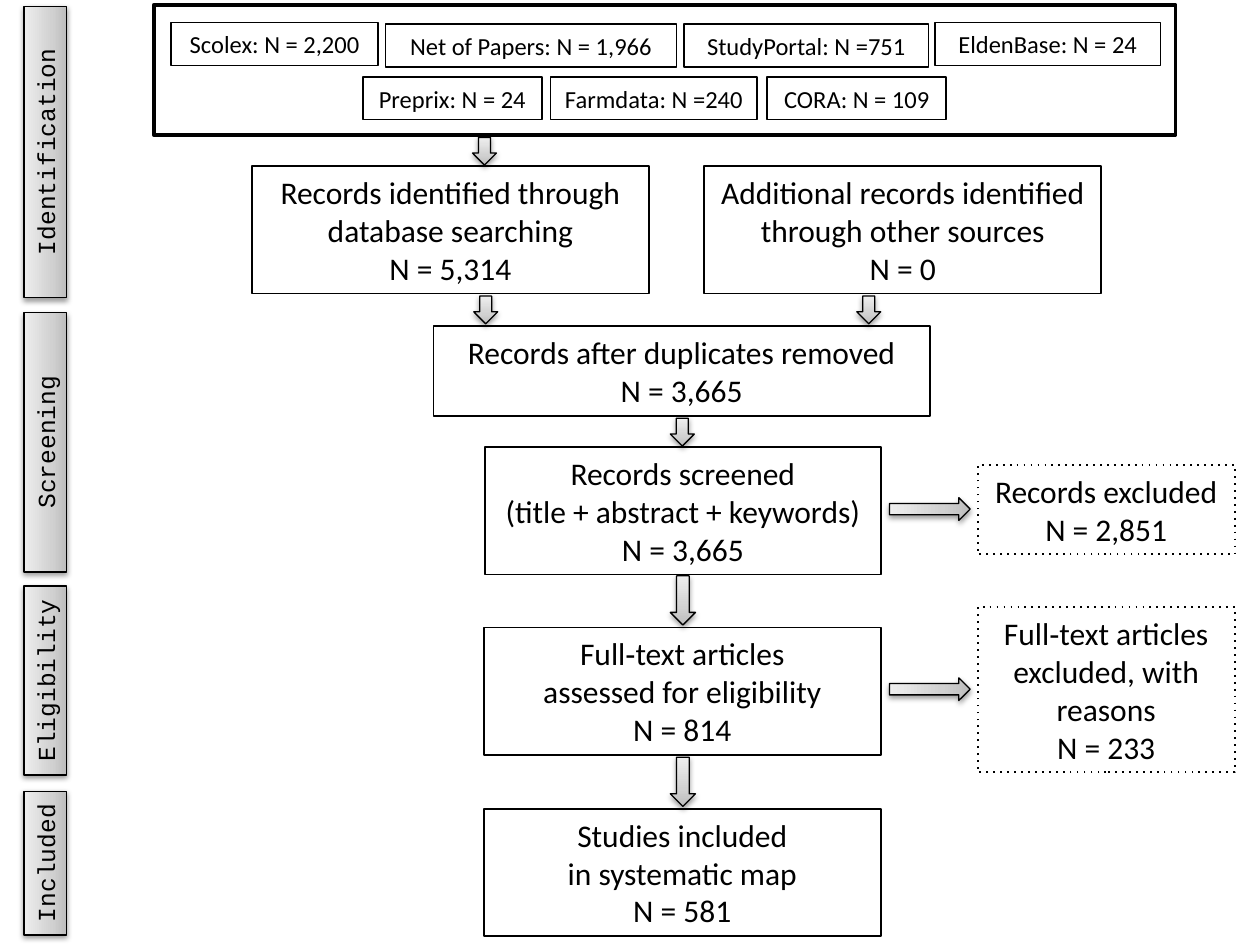
"""Build a flow diagram of how records were selected for a systematic map."""
from lxml import etree
from pptx import Presentation
from pptx.dml.color import RGBColor
from pptx.enum.dml import MSO_LINE
from pptx.enum.shapes import MSO_SHAPE
from pptx.enum.text import MSO_ANCHOR, MSO_AUTO_SIZE, PP_ALIGN
from pptx.util import Inches, Pt

BLACK = RGBColor(0x00, 0x00, 0x00)
RECTANGLE = MSO_SHAPE.RECTANGLE
DOWN_ARROW = MSO_SHAPE.DOWN_ARROW
DOTTED = MSO_LINE.ROUND_DOT
CENTER = PP_ALIGN.CENTER
MIDDLE = MSO_ANCHOR.MIDDLE
GROW = MSO_AUTO_SIZE.SHAPE_TO_FIT_TEXT

DRAWING_NS = "http://schemas.openxmlformats.org/drawingml/2006/main"
GRADIENT = f"""<a:gradFill xmlns:a="{DRAWING_NS}" rotWithShape="1"><a:gsLst>
<a:gs pos="0"><a:srgbClr val="BDBDBD"/></a:gs>
<a:gs pos="35000"><a:srgbClr val="D1D1D1"/></a:gs>
<a:gs pos="100000"><a:srgbClr val="EEEEEE"/></a:gs>
</a:gsLst><a:lin ang="16200000" scaled="1"/></a:gradFill>"""
SHADOW = f"""<a:outerShdw xmlns:a="{DRAWING_NS}" blurRad="40000" dist="20000"
dir="5400000" rotWithShape="0"><a:srgbClr val="000000"><a:alpha val="38000"/>
</a:srgbClr></a:outerShdw>"""

SOURCES = [
    ("Scolex: N = 2,200", 1.36, 0.18, 1.64),
    ("Net of Papers: N = 1,966", 3.06, 0.19, 2.31),
    ("StudyPortal: N =751", 5.43, 0.19, 1.94),
    ("EldenBase: N = 24", 7.42, 0.18, 1.79),
    ("Preprix: N = 24", 2.88, 0.61, 1.42),
    ("Farmdata: N =240", 4.37, 0.61, 1.64),
    ("CORA: N = 109", 6.09, 0.61, 1.42),
]
STEPS = [
    ("Records identified through database searching\nN = 5,314", 2, 1.32, 3.15, 1.01),
    ("Additional records identified through other sources\nN = 0", 5.59, 1.32, 3.15, 1.01),
    ("Records after duplicates removed\nN = 3,665", 3.44, 2.59, 3.94, 0.71),
    ("Records screened\n(title + abstract + keywords)\nN = 3,665", 3.85, 3.55, 3.14, 1.01),
    ("Full\u2010text articles\nassessed for eligibility\nN = 814", 3.84, 4.98, 3.15, 1.01),
    ("Studies included\nin systematic map\nN = 581", 3.84, 6.42, 3.15, 1.01),
]
EXCLUSIONS = [
    ("Records excluded\nN = 2,851", 7.76, 3.69, 2.04, 0.71),
    ("Full\u2010text articles\nexcluded, with reasons\nN = 233", 7.76, 4.82, 2.04, 1.31),
]
STAGES = [
    ("Identification", 0.05, 2.31),
    ("Screening", 2.48, 2.06),
    ("Eligibility", 4.65, 1.5),
    ("Included", 6.28, 1.14),
]
DOWN_STEPS = [
    (3.75, 1.09, 0.19, 0.22),
    (3.76, 2.35, 0.19, 0.22),
    (6.8, 2.35, 0.19, 0.22),
    (5.32, 3.32, 0.19, 0.22),
    (5.32, 4.57, 0.2, 0.39),
    (5.32, 6.01, 0.2, 0.39),
]
EXCLUSION_ARROW_TOPS = [3.72, 5.15]


def add_outline(slide, kind, left, top, width, height, weight):
    """Add an unfilled shape with a black outline."""
    outline = slide.shapes.add_shape(
        kind, Inches(left), Inches(top), Inches(width), Inches(height))
    outline.shadow.inherit = False
    outline.fill.background()
    outline.line.color.rgb = BLACK
    outline.line.width = Pt(weight)
    return outline


def add_shaded(slide, kind, left, top, width, height, rotation=0):
    """Add a grey gradient shape with a soft shadow."""
    shaded = add_outline(slide, kind, left, top, width, height, 0.75)
    shaded.rotation = rotation
    properties = shaded.fill._xPr
    no_fill = properties.find(f"{{{DRAWING_NS}}}noFill")
    properties.replace(no_fill, etree.fromstring(GRADIENT))
    effects = properties.find(f"{{{DRAWING_NS}}}effectLst")
    effects.append(etree.fromstring(SHADOW))
    return shaded


def write(box, text, size, font="Calibri", wrap=True):
    """Write centred black lines into a box."""
    frame = box.text_frame
    frame.text = text
    frame.word_wrap = wrap
    frame.auto_size = GROW
    frame.vertical_anchor = MIDDLE
    for line in frame.paragraphs:
        line.alignment = CENTER
        line.font.size = Pt(size)
        line.font.name = font
        line.font.color.rgb = BLACK


def add_box(slide, text, left, top, width, height, size=18, wrap=True):
    """Add an outlined box with text."""
    box = add_outline(slide, RECTANGLE, left, top, width, height, 1)
    write(box, text, size, wrap=wrap)
    return box


def add_exclusion(slide, *exclusion):
    """Add a box with a widely dotted outline."""
    box = add_box(slide, *exclusion)
    box.line.dash_style = DOTTED
    box.fill._xPr.find(f".//{{{DRAWING_NS}}}prstDash").set("val", "dot")


def add_stage(slide, name, top, length):
    """Add a stage label that reads upwards along the left edge."""
    left, thickness = 0.19, 0.34
    shift = (length - thickness) / 2
    stage = add_shaded(
        slide, RECTANGLE, left - shift, top + shift, length, thickness, 270)
    write(stage, name, 14, "Courier New", wrap=False)


def main():
    """Build and save the slide."""
    deck = Presentation()
    deck.slide_width, deck.slide_height = Inches(10), Inches(7.5)
    slide = deck.slides.add_slide(deck.slide_layouts[6])

    for step in STEPS:
        add_box(slide, *step)
    for exclusion in EXCLUSIONS:
        add_exclusion(slide, *exclusion)
    for stage in STAGES:
        add_stage(slide, *stage)
    for arrow in DOWN_STEPS:
        add_shaded(slide, DOWN_ARROW, *arrow)
    for top in EXCLUSION_ARROW_TOPS:
        add_shaded(slide, DOWN_ARROW, 7.29, top, 0.18, 0.64, 270)
    for source in SOURCES:
        add_box(slide, *source, 0.34, size=14, wrap=False)
    add_outline(slide, RECTANGLE, 1.22, 0.04, 8.11, 1.03, 2.25)

    deck.save("out.pptx")


main()
